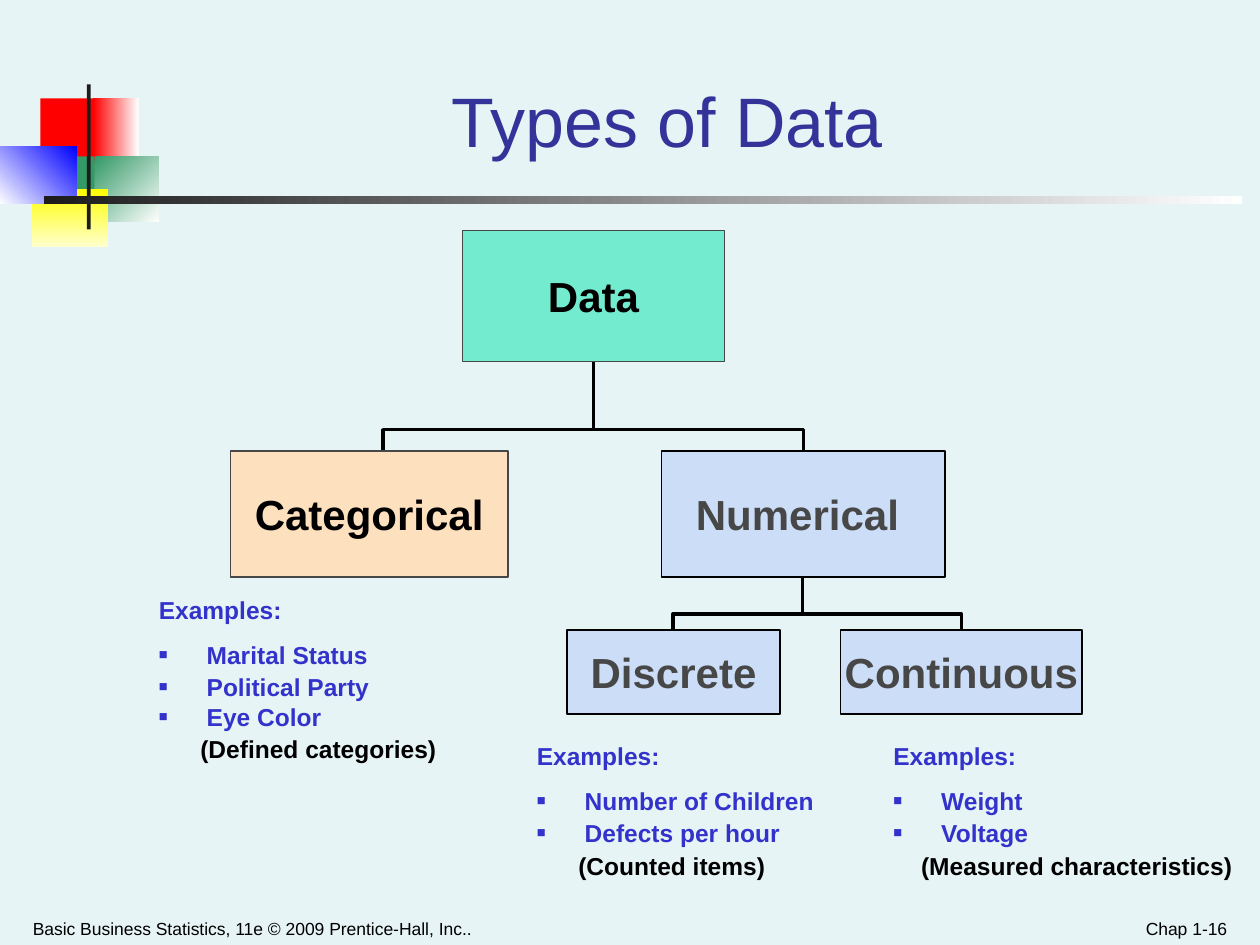
"""Build the Types of Data slide as a tree of boxes with example lists."""
from lxml.etree import SubElement
from pptx import Presentation
from pptx.dml.color import RGBColor
from pptx.enum.shapes import MSO_CONNECTOR, MSO_SHAPE
from pptx.enum.text import MSO_ANCHOR, MSO_AUTO_SIZE, PP_ALIGN
from pptx.oxml.ns import qn
from pptx.util import Inches, Pt

COLORS = {
    "ground": "E7F4F5", "red": "FF0000", "white": "FFFFFF", "green": "339966",
    "yellow": "FFFF00", "cream": "FFFFCC", "blue": "0000FF", "ink": "1C1C1C",
    "title": "333399", "list": "3333CC", "black": "000000", "gray": "474747",
    "mint": "00E4A8", "peach": "FDE0BD", "sky": "CBDDF7",
}


def rgb(name):
    return RGBColor.from_string(COLORS[name])


class Deck:
    def __init__(self, font):
        self.font = font
        self.prs = Presentation()
        self.prs.slide_width, self.prs.slide_height = Inches(10), Inches(7.5)
        self.slide = self.prs.slides.add_slide(self.prs.slide_layouts[4])
        self.shapes = self.slide.shapes
        fill = self.slide.background.fill
        fill.solid()
        fill.fore_color.rgb = rgb("ground")

    def style(self, para, size, color, bold=False, align=PP_ALIGN.LEFT):
        para.alignment = align
        for run in para.runs:
            run.font.name, run.font.size, run.font.bold = self.font, Pt(size), bold
            run.font.color.rgb = rgb(color)

    def frame(self, shape, anchor, wrap=True):
        frame = shape.text_frame
        frame.auto_size = MSO_AUTO_SIZE.NONE
        frame.word_wrap, frame.vertical_anchor = wrap, anchor
        frame.margin_left = frame.margin_right = Inches(0.09)
        frame.margin_top = frame.margin_bottom = Inches(0.05)
        return frame

    def place(self, shape, at):
        shape.left, shape.top, shape.width, shape.height = map(Inches, at)

    def block(self, at, color, fade=None, angle=0):
        shape = self.shapes.add_shape(MSO_SHAPE.RECTANGLE, *map(Inches, at))
        shape.shadow.inherit = False
        shape.line.fill.background()
        if fade:
            shape.fill.gradient()
            shape.fill.gradient_angle = angle
            for stop, name in zip(shape.fill.gradient_stops, (color, fade)):
                stop.color.rgb = rgb(name)
        else:
            shape.fill.solid()
            shape.fill.fore_color.rgb = rgb(color)
        return shape

    def box(self, at, text, fill, edge, color, alpha=None):
        shape = self.block(at, fill)
        shape.line.color.rgb, shape.line.width = rgb(edge), Pt(1)
        if alpha:
            tint = shape.fill._xPr.find(qn("a:solidFill"))[0]
            SubElement(tint, qn("a:alpha"), val=str(alpha * 1000))
        frame = self.frame(shape, MSO_ANCHOR.MIDDLE, wrap=False)
        frame.text = text
        self.style(frame.paragraphs[0], 24, color, True, PP_ALIGN.CENTER)

    def link(self, child, parent, width, bend):
        (x1, y1), (x2, y2) = child, parent
        wide, high = abs(x1 - x2), y1 - y2
        left, top = (x1 + x2 - high) / 2, (y1 + y2 - wide) / 2
        ends = (top + wide, top) if x1 > x2 else (top, top + wide)
        line = self.shapes.add_connector(
            MSO_CONNECTOR.ELBOW, Inches(left), Inches(ends[0]),
            Inches(left + high), Inches(ends[1]))
        line.line.color.rgb, line.line.width = rgb("black"), Pt(width)
        props = line._element.spPr
        props.find(qn("a:xfrm")).set("rot", "16200000")
        guides = props.find(qn("a:prstGeom")).find(qn("a:avLst"))
        SubElement(guides, qn("a:gd"), name="adj1", fmla=f"val {int(bend * 100000)}")
        SubElement(props, qn("a:effectLst"))

    def title(self, at, text):
        shape = self.shapes.title
        self.place(shape, at)
        frame = self.frame(shape, MSO_ANCHOR.BOTTOM)
        frame.text = text
        self.style(frame.paragraphs[0], 40, "title", align=PP_ALIGN.CENTER)

    def note(self, at, text, align):
        shape = self.shapes.add_textbox(*map(Inches, at))
        frame = self.frame(shape, MSO_ANCHOR.BOTTOM)
        frame.text = text
        self.style(frame.paragraphs[0], 10, "black", align=align)

    def bullet(self, para, mark):
        props = para._p.get_or_add_pPr()
        inset = 0.38 if mark else 0
        props.set("marL", str(Inches(inset)))
        props.set("indent", str(-Inches(inset)))
        if mark:
            hue = SubElement(props, qn("a:buClr"))
            SubElement(hue, qn("a:srgbClr"), val=COLORS["list"])
            SubElement(props, qn("a:buSzPct"), val="60000")
            SubElement(props, qn("a:buFont"), typeface=self.font)
            SubElement(props, qn("a:buChar"), char="■")
        else:
            SubElement(props, qn("a:buNone"))

    def samples(self, slot, at, items, remark, inset, gaps):
        shape = self.slide.placeholders[slot]
        self.place(shape, at)
        frame = self.frame(shape, MSO_ANCHOR.TOP)
        frame.text = "\n".join(["Examples:", *items, remark])
        last = len(items) + 1
        for i, (para, gap) in enumerate(zip(frame.paragraphs, gaps)):
            self.bullet(para, 0 < i < last)
            para.space_before, para.line_spacing = Pt(gap), 1.0
            self.style(para, 14, "black" if i == last else "list", True)
        para._p.get_or_add_pPr().set("marL", str(Inches(inset)))

    def drop(self, slot):
        item = self.slide.placeholders[slot]._element
        item.getparent().remove(item)


def main():
    deck = Deck("Arial")
    deck.block((0.32, 0.78, 0.48, 0.52), "red")
    deck.block((0.74, 0.78, 0.36, 0.52), "red", "white")
    deck.block((0.75, 1.24, 0.51, 0.52), "green", "white", 315)
    deck.block((0.43, 1.24, 0.32, 0.52), "green")
    deck.block((0.25, 1.5, 0.61, 0.46), "yellow", "cream", 270)
    deck.block((0, 1.16, 0.61, 0.46), "white", "blue", 45)
    deck.block((0.69, 0.67, 0.03, 1.15), "ink")
    deck.block((0.35, 1.56, 9.51, 0.06), "ink", "white")

    deck.title((1.26, 0.25, 8.07, 1.08), "Types of Data")
    deck.note((0.17, 7.15, 5.08, 0.35),
              "Basic Business Statistics, 11e © 2009 Prentice-Hall, Inc..", PP_ALIGN.LEFT)
    deck.note((7.5, 7.15, 2.33, 0.35), "Chap 1-16", PP_ALIGN.RIGHT)

    for x in (5.34, 7.63):
        deck.link((x, 5), (6.37, 4.58), 2, 0.3)
    for x in (3.04, 6.38):
        deck.link((x, 3.58), (4.71, 2.87), 1.75, 0.24)

    deck.box((3.67, 1.83, 2.08, 1.04), "Data", "mint", "gray", "black", 50)
    deck.box((1.83, 3.58, 2.2, 1), "Categorical", "peach", "gray", "black")
    deck.box((5.25, 3.58, 2.25, 1), "Numerical ", "sky", "black", "gray")
    deck.box((4.5, 5, 1.69, 0.67), "Discrete", "sky", "black", "gray")
    deck.box((6.67, 5, 1.92, 0.67), "Continuous", "sky", "black", "gray")

    deck.samples(1, (1.17, 4.67, 2.75, 1.43),
                 ["Marital Status", "Political Party", "Eye Color"],
                 "(Defined categories)", 0.33, (0, 8.8, 1.8, 0, 1.8))
    deck.samples(2, (4.17, 5.83, 2.5, 1.2), ["Number of Children", "Defects per hour"],
                 "(Counted items)", 0.33, (0, 8.8, 1.8, 1.8))
    deck.samples(3, (7, 5.83, 3, 1.2), ["Weight", "Voltage"],
                 "(Measured characteristics)", 0.22, (0, 8.8, 1.8, 1.8))
    deck.drop(4)
    deck.prs.save("out.pptx")


if __name__ == "__main__":
    main()
